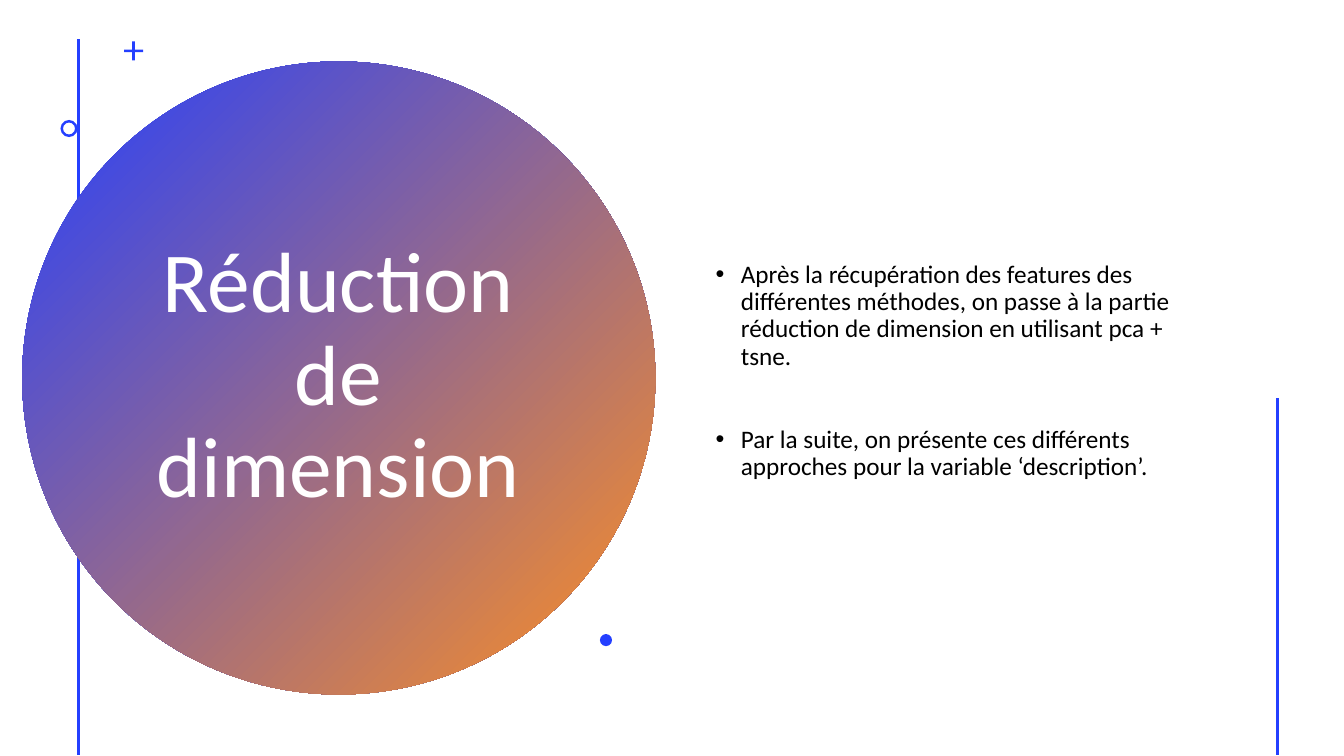
from pptx import Presentation
from pptx.dml.color import RGBColor
from pptx.enum.shapes import MSO_CONNECTOR as Conn, MSO_SHAPE as Kind
from pptx.enum.text import MSO_ANCHOR as Anchor, PP_ALIGN as Align
from pptx.oxml.ns import qn
from pptx.util import Inches, Pt
from lxml.etree import SubElement


def paint(code):
    return RGBColor.from_string(code)


def apply(item, form):
    for name, value in form.items():
        setattr(item, name, value)


class Deck:
    blue, orange = "243FFF", "FF9022"
    white, black = "FFFFFF", "000000"
    face = "Calibri"

    def __init__(self):
        self.show = Presentation()
        apply(self.show, {"slide_width": Inches(13.33), "slide_height": Inches(7.5)})
        self.slide = self.show.slides.add_slide(self.show.slide_layouts[6])
        self.slide.background.fill.solid()
        self.slide.background.fill.fore_color.rgb = paint(self.white)

    def line(self, x, top, end):
        rule = self.slide.shapes.add_connector(
            Conn.STRAIGHT, *map(Inches, (x, top, x, end)))
        rule.line.width = Pt(2)
        rule.line.color.rgb = paint(self.blue)
        SubElement(rule._element.spPr, qn("a:effectLst"))

    def shape(self, kind, x, y, size, adjust=None):
        mark = self.slide.shapes.add_shape(kind, *map(Inches, (x, y, size, size)))
        mark.shadow.inherit = False
        mark.line.fill.background()
        mark.fill.solid()
        mark.fill.fore_color.rgb = paint(self.blue)
        if adjust is not None:
            mark.adjustments[0] = adjust
        return mark

    def disc(self, x, y, size):
        fill = self.shape(Kind.OVAL, x, y, size).fill
        fill.gradient()
        fill.gradient_angle = 315
        for stop, code, place in zip(fill.gradient_stops, (self.blue, self.orange), (0, 1)):
            stop.color.rgb = paint(code)
            stop.position = place

    def text(self, box, lines, size, color, form, gaps=(0,), bullet=False):
        frame = self.slide.shapes.add_textbox(*map(Inches, box)).text_frame
        apply(frame, {"word_wrap": True, "vertical_anchor": Anchor.MIDDLE})
        for i, (words, gap) in enumerate(zip(lines, gaps)):
            para = frame.add_paragraph() if i else frame.paragraphs[0]
            apply(para, {**form, "line_spacing": 0.9, "space_before": Pt(gap)})
            run = para.add_run()
            run.text = words
            apply(run.font, {"name": self.face, "size": Pt(size)})
            run.font.color.rgb = paint(color)
            if bullet:
                props = para._p.get_or_add_pPr()
                props.set("marL", str(Inches(0.25)))
                props.set("indent", str(Inches(-0.25)))
                SubElement(props, qn("a:buFont"), typeface="Arial")
                SubElement(props, qn("a:buChar"), char="•")


def main():
    deck = Deck()
    deck.line(0.78, 0.39, 7.49)
    deck.disc(0.22, 0.61, 6.28)
    deck.text((1.36, 1.41, 3.99, 4.67), ["Réduction de dimension"], 61,
              deck.white, {"alignment": Align.CENTER})
    deck.shape(Kind.CROSS, 1.23, 0.41, 0.19, 0.43)
    deck.shape(Kind.DONUT, 0.6, 1.19, 0.17, 0.15)
    deck.text((7, 0.42, 5.12, 6.53), [
        "Après la récupération des features des différentes méthodes, "
        "on passe à la partie réduction de dimension en utilisant pca + tsne.",
        "Par la suite, on présente ces différents approches "
        "pour la variable ‘description’.",
    ], 18, deck.black, {"alignment": Align.LEFT}, (10, 40), True)
    deck.shape(Kind.OVAL, 5.95, 6.29, 0.12)
    deck.line(12.67, 3.95, 7.49)
    deck.show.save("out.pptx")


if __name__ == "__main__":
    main()
